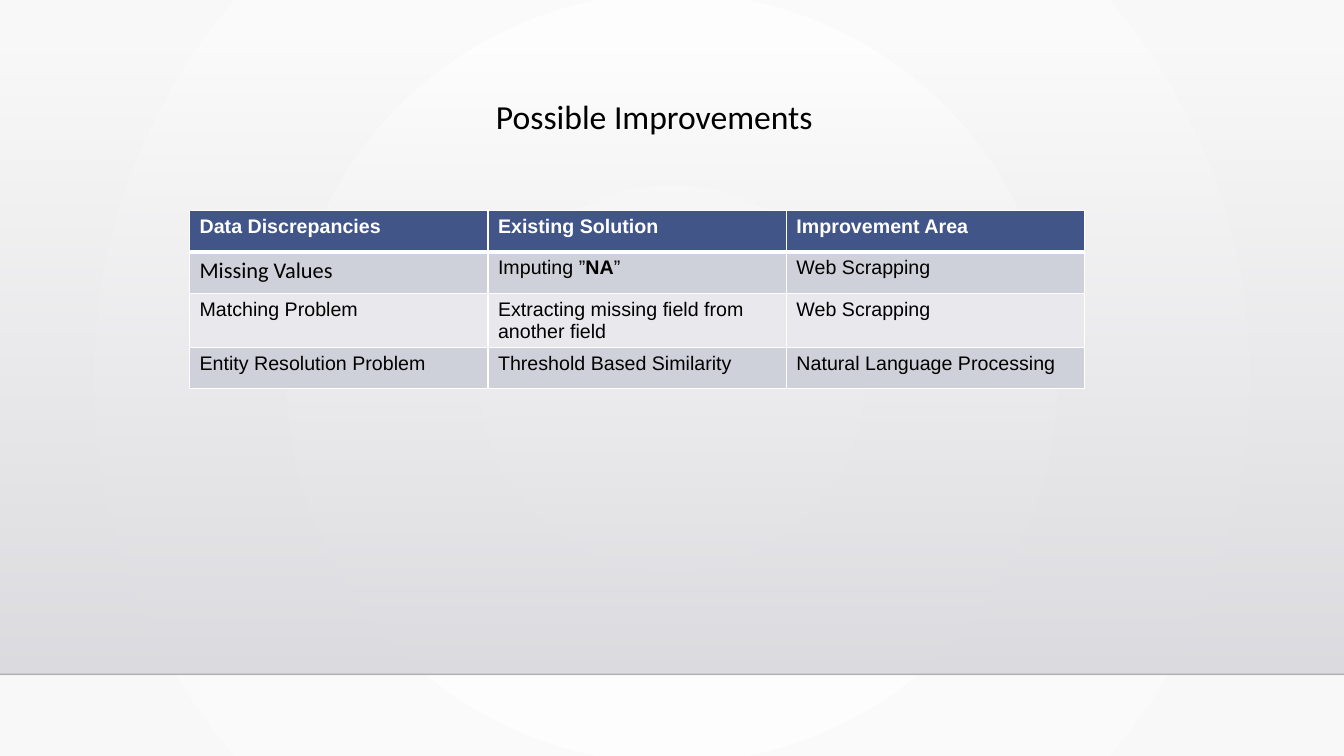
from lxml.etree import SubElement as add_element
from pptx import Presentation
from pptx.dml.color import RGBColor
from pptx.enum.shapes import MSO_CONNECTOR as Connector, MSO_SHAPE as Preset
from pptx.enum.text import MSO_ANCHOR as Anchor, MSO_AUTO_SIZE as AutoSize, PP_ALIGN as Align
from pptx.oxml.ns import qn
from pptx.util import Inches, Pt

WIDTH, HEIGHT = 13.33, 7.5
HEADER_FILL, ODD_FILL, EVEN_FILL = "415588", "CFD1DA", "E9E9ED"
HEADER_FONT = {"name": "Arial", "size": Pt(14), "bold": True}
BODY_FONT = HEADER_FONT | {"bold": False}
MISSING_FONT = {"name": "Calibri", "size": Pt(16), "bold": False}

# Each cell is a list of (text, font) spans.
ROWS = [
    [[(text, HEADER_FONT)] for text in
     ("Data Discrepancies", "Existing Solution", "Improvement Area")],
    [[("Missing Values", MISSING_FONT)],
     [("Imputing ”", BODY_FONT), ("NA", HEADER_FONT), ("”", BODY_FONT)],
     [("Web Scrapping", BODY_FONT)]],
    [[(text, BODY_FONT)] for text in
     ("Matching Problem", "Extracting missing field from another field", "Web Scrapping")],
    [[(text, BODY_FONT)] for text in
     ("Entity Resolution Problem", "Threshold Based Similarity", "Natural Language Processing")],
]


def color(value):
    return RGBColor.from_string(value)


def set_alpha(color_element, percent):
    add_element(color_element, qn("a:alpha"), val=str(percent * 1000))


def add_span(para, text, font, text_color):
    span = para.add_run()
    span.text = text
    for key, value in font.items():
        setattr(span.font, key, value)
    span.font.color.rgb = color(text_color)


def set_gradient(fill, start, end):
    fill.gradient()
    for stop, value, position in zip(fill.gradient_stops, (start, end), (0, 1)):
        stop.color.rgb = color(value)
        stop.position = position


def paint_background(page):
    """Fill the page with a gradient that spreads in circles from the centre."""
    set_gradient(page.background.fill, "FFFFFF", "F8F8F8")
    gradient = next(page.background._cSld.iter(qn("a:gradFill")))
    gradient.remove(gradient.find(qn("a:lin")))
    circle = add_element(gradient, qn("a:path"), {"path": "circle"})
    sides = {side: "50000" for side in "ltrb"}
    add_element(circle, qn("a:fillToRect"), sides)


def add_band(page, top, height):
    """Add the grey band that fades out upwards."""
    band = page.shapes.add_shape(Preset.RECTANGLE, 0, Inches(top), Inches(WIDTH), Inches(height))
    band.shadow.inherit = False
    band.line.fill.background()
    set_gradient(band.fill, "DCDCE0", "DDDDE1")
    gradient = band._element.spPr.find(qn("a:gradFill"))
    gradient.find(qn("a:lin")).set("ang", str(90 * 60000))
    set_alpha(next(gradient.iter(qn("a:srgbClr"))), 0)


def add_rule(page, top):
    rule = page.shapes.add_connector(
        Connector.STRAIGHT, 0, Inches(top), Inches(WIDTH), Inches(top))
    rule.line.width = Pt(1)
    rule.line.color.rgb = color("000001")
    properties = rule._element.spPr
    set_alpha(next(properties.iter(qn("a:srgbClr"))), 20)
    add_element(properties, qn("a:effectLst"))


def place_title(page, text):
    title = page.shapes.title
    title.left, title.top, title.width, title.height = map(Inches, (1.24, 0.95, 10.5, 1.15))
    frame = title.text_frame
    frame.word_wrap = True
    frame.auto_size = AutoSize.NONE
    frame.vertical_anchor = Anchor.TOP
    para = frame.paragraphs[0]
    para.alignment = Align.CENTER
    para.line_spacing = 0.9
    add_span(para, text, {"name": "Calibri", "size": Pt(24)}, "000000")
    page.shapes._spTree.append(title._element)  # bring in front of the band


def set_borders(cell, widths):
    properties = cell._tc.get_or_add_tcPr()
    for side, width in widths.items():
        line = add_element(properties, qn(f"a:ln{side}"), w=str(Pt(width)))
        solid = add_element(line, qn("a:solidFill"))
        add_element(solid, qn("a:srgbClr"), val="FFFFFF")


def add_improvement_table(page):
    column_width, row_height = 2.96, 0.41
    columns = len(ROWS[0])
    table = page.shapes.add_table(
        len(ROWS), columns, Inches(1.88), Inches(2.09),
        Inches(column_width * columns), Inches(row_height * len(ROWS))).table
    for column in table.columns:
        column.width = Inches(column_width)
    for index, row in enumerate(ROWS):
        header = index == 0
        fill = HEADER_FILL if header else ODD_FILL if index % 2 else EVEN_FILL
        widths = {"L": 1, "R": 1, "T": 3 if index == 1 else 1, "B": 3 if header else 1}
        for position, spans in enumerate(row):
            cell = table.cell(index, position)
            set_borders(cell, widths)
            cell.fill.solid()
            cell.fill.fore_color.rgb = color(fill)
            for text, font in spans:
                add_span(cell.text_frame.paragraphs[0], text, font,
                         "FFFFFF" if header else "000000")


def main():
    deck = Presentation()
    deck.slide_width, deck.slide_height = Inches(WIDTH), Inches(HEIGHT)
    page = deck.slides.add_slide(deck.slide_layouts.get_by_name("Title Only"))
    paint_background(page)
    add_band(page, 0.51, 6.18)
    add_rule(page, 6.69)
    place_title(page, "Possible Improvements")
    add_improvement_table(page)
    deck.save("out.pptx")


if __name__ == "__main__":
    main()
